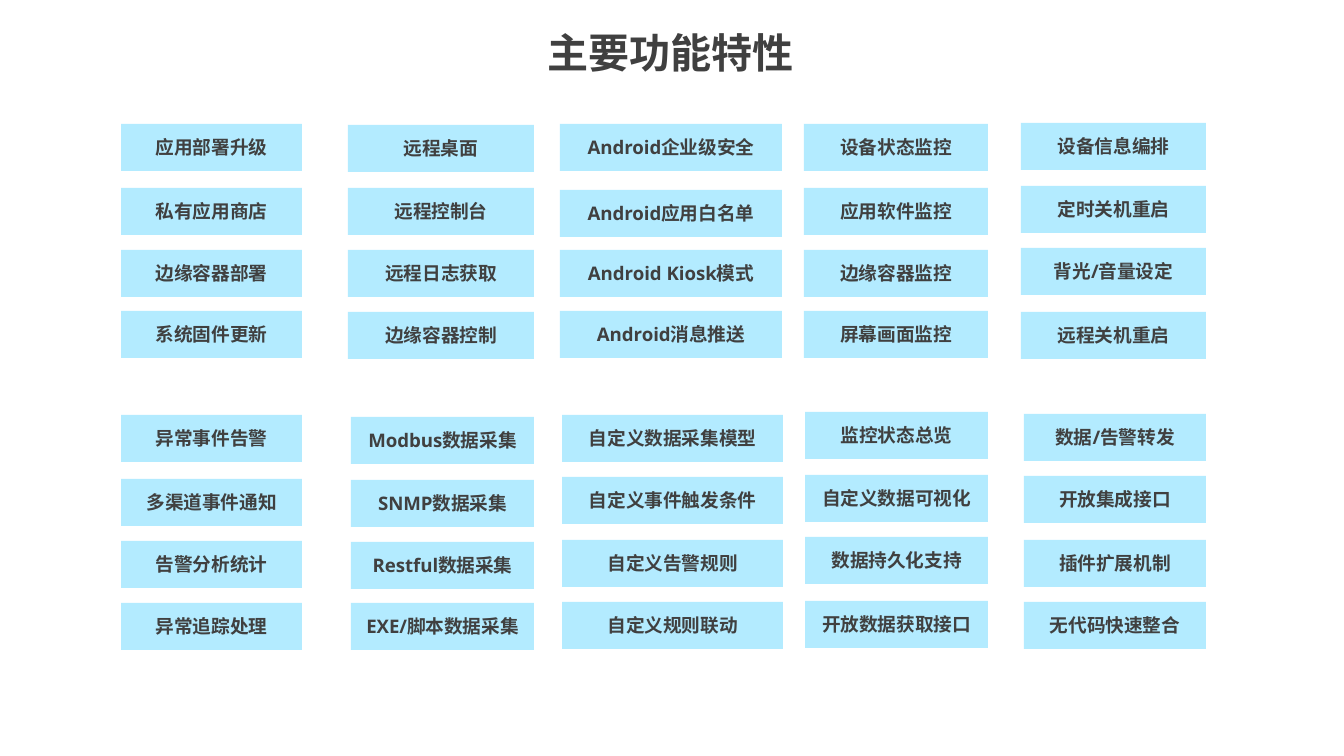
from pptx import Presentation
from pptx.dml.color import RGBColor
from pptx.enum.shapes import MSO_SHAPE
from pptx.enum.text import MSO_ANCHOR, MSO_AUTO_SIZE, PP_ALIGN
from pptx.util import Emu, Pt

RECTANGLE = MSO_SHAPE.RECTANGLE
MIDDLE = MSO_ANCHOR.MIDDLE
NO_AUTOFIT = MSO_AUTO_SIZE.NONE
CENTER = PP_ALIGN.CENTER

TEXT_COLOR = RGBColor(0x40, 0x40, 0x40)
TILE_COLOR = RGBColor(0xB3, 0xEB, 0xFF)
FONT_NAME = "Noto Sans"
EMU_PER_PX = 6804
SLIDE_WIDTH, SLIDE_HEIGHT = 1344, 756
TILE_HEIGHT = 47
TITLE_LAYOUT = 5

FEATURE_GROUPS = [
    (121, 181, (124, 188, 250, 311),
     ("应用部署升级", "私有应用商店", "边缘容器部署", "系统固件更新")),
    (348, 186, (125, 188, 250, 312),
     ("远程桌面", "远程控制台", "远程日志获取", "边缘容器控制")),
    (560, 222, (124, 190, 250, 311),
     ("Android企业级安全", "Android应用白名单", "Android Kiosk模式", "Android消息推送")),
    (804, 184, (124, 188, 250, 311),
     ("设备状态监控", "应用软件监控", "边缘容器监控", "屏幕画面监控")),
    (1021, 185, (123, 186, 248, 312),
     ("设备信息编排", "定时关机重启", "背光/音量设定", "远程关机重启")),
    (121, 181, (415, 479, 541, 603),
     ("异常事件告警", "多渠道事件通知", "告警分析统计", "异常追踪处理")),
    (351, 183, (417, 480, 542, 603),
     ("Modbus数据采集", "SNMP数据采集", "Restful数据采集", "EXE/脚本数据采集")),
    (562, 221, (415, 477, 540, 602),
     ("自定义数据采集模型", "自定义事件触发条件", "自定义告警规则", "自定义规则联动")),
    (805, 183, (412, 475, 537, 601),
     ("监控状态总览", "自定义数据可视化", "数据持久化支持", "开放数据获取接口")),
    (1024, 182, (414, 476, 540, 602),
     ("数据/告警转发", "开放集成接口", "插件扩展机制", "无代码快速整合")),
]


def px(length):
    return Emu(length * EMU_PER_PX)


class FeatureSlide:
    """Draws the title and feature tiles of one slide in a shared style."""

    def __init__(self, presentation):
        layout = presentation.slide_layouts[TITLE_LAYOUT]
        self.slide = presentation.slides.add_slide(layout)

    def label(self, shape, text, size):
        frame = shape.text_frame
        frame.text = text
        frame.word_wrap = True
        frame.vertical_anchor = MIDDLE
        paragraph = frame.paragraphs[0]
        paragraph.alignment = CENTER
        font = paragraph.font
        font.name = FONT_NAME
        font.size = Pt(size)
        font.bold = True
        font.color.rgb = TEXT_COLOR

    def title(self, text, left, top, width, height):
        shape = self.slide.shapes.title
        shape.left, shape.top = px(left), px(top)
        shape.width, shape.height = px(width), px(height)
        frame = shape.text_frame
        frame.auto_size = NO_AUTOFIT
        frame.margin_left = frame.margin_right = px(17)
        frame.margin_top = frame.margin_bottom = px(9)
        self.label(shape, text, 22)

    def tile(self, text, left, top, width):
        shape = self.slide.shapes.add_shape(
            RECTANGLE, px(left), px(top), px(width), px(TILE_HEIGHT))
        shape.shadow.inherit = False
        shape.fill.solid()
        shape.fill.fore_color.rgb = TILE_COLOR
        shape.line.fill.background()
        self.label(shape, text, 10)


def main():
    presentation = Presentation()
    presentation.slide_width = px(SLIDE_WIDTH)
    presentation.slide_height = px(SLIDE_HEIGHT)
    features = FeatureSlide(presentation)
    features.title("主要功能特性", 66, 12, 1210, 81)
    for left, width, tops, names in FEATURE_GROUPS:
        for top, name in zip(tops, names):
            features.tile(name, left, top, width)
    presentation.save("out.pptx")


if __name__ == "__main__":
    main()
